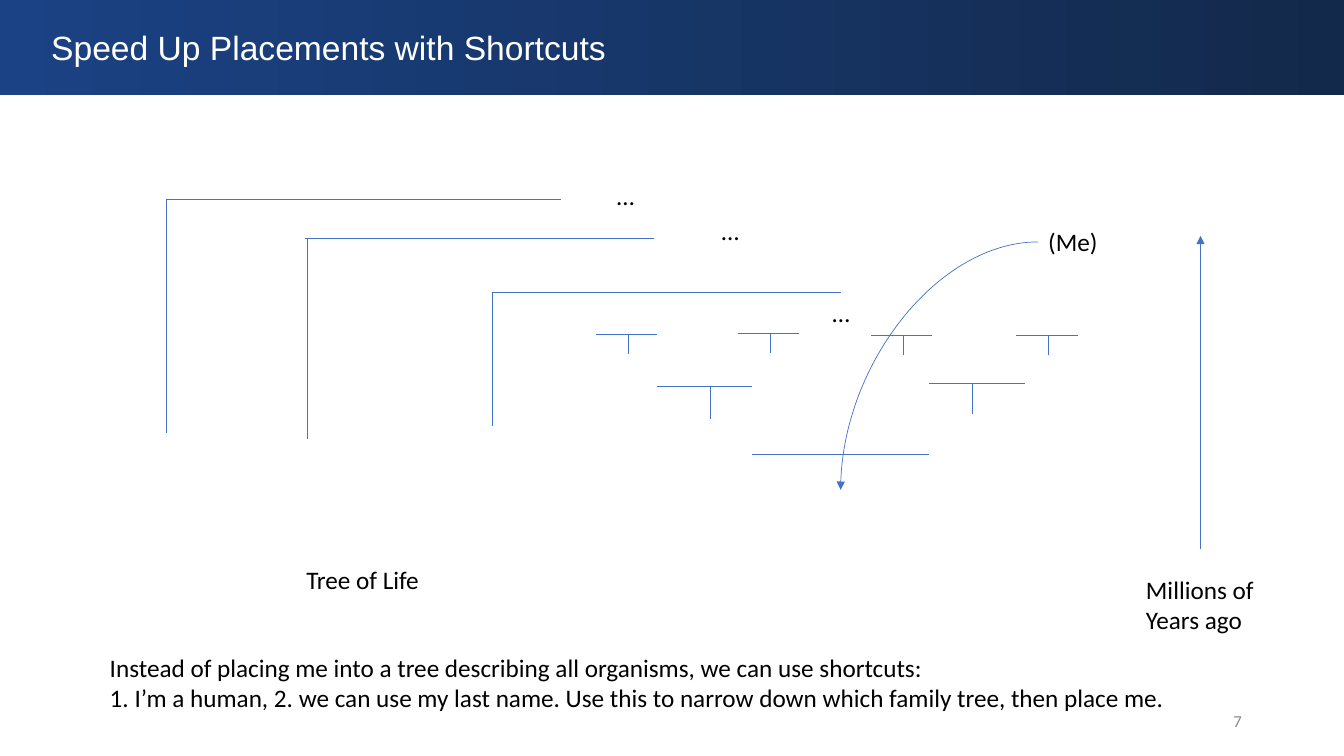
from dataclasses import dataclass

from lxml import etree
from pptx import Presentation
from pptx.dml.color import RGBColor
from pptx.enum.shapes import MSO_CONNECTOR, MSO_SHAPE
from pptx.enum.text import MSO_ANCHOR, MSO_AUTO_SIZE, PP_ALIGN
from pptx.oxml.ns import qn
from pptx.util import Inches, Pt

STRAIGHT, CURVE = MSO_CONNECTOR.STRAIGHT, MSO_CONNECTOR.CURVE
RECTANGLE = MSO_SHAPE.RECTANGLE
TOP, MIDDLE = MSO_ANCHOR.TOP, MSO_ANCHOR.MIDDLE
LEFT, RIGHT = PP_ALIGN.LEFT, PP_ALIGN.RIGHT
NO_GROW, GROW = MSO_AUTO_SIZE.NONE, MSO_AUTO_SIZE.SHAPE_TO_FIT_TEXT
LEFT_SIDE = 1

# The slide is a grid of square cells, a tenth of an inch each
CELL = Inches(0.1)
COLUMNS, ROWS = 133.33, 75
LABEL_HEIGHT = 4


@dataclass(frozen=True)
class Theme:
    banner_start: RGBColor = RGBColor(0x1B, 0x42, 0x84)
    banner_end: RGBColor = RGBColor(0x13, 0x29, 0x4B)
    title: RGBColor = RGBColor(0xFF, 0xFF, 0xFF)
    text: RGBColor = RGBColor(0, 0, 0)
    number: RGBColor = RGBColor(0x8C, 0x8C, 0x8C)
    line: RGBColor = RGBColor(0x44, 0x72, 0xC4)
    title_font: str = "Arial"
    body_font: str = "Calibri"
    title_size: int = 24
    body_size: int = 18
    number_size: int = 12
    line_width: float = 0.5


THEME = Theme()


@dataclass(frozen=True)
class Box:
    """A region of the grid, in columns and rows."""
    left: float
    top: float
    width: float
    height: float

    def inner(self, column, row, width, height):
        return Box(self.left + column, self.top + row, width, height)

    def lengths(self):
        return [cells(n) for n in (self.left, self.top, self.width, self.height)]


def cells(count):
    return round(count * CELL)


def add_text(slide, box, lines, size=THEME.body_size, color=THEME.text,
             font=THEME.body_font, wrap=False, grow=GROW, anchor=TOP, align=LEFT):
    shape = slide.shapes.add_textbox(*box.lengths())
    frame = shape.text_frame
    frame.word_wrap = wrap
    frame.auto_size = grow
    frame.vertical_anchor = anchor
    for index, line in enumerate(lines):
        paragraph = frame.add_paragraph() if index else frame.paragraphs[0]
        paragraph.alignment = align
        run = paragraph.add_run()
        run.text = line
        run.font.name = font
        run.font.size = Pt(size)
        run.font.color.rgb = color
    return shape


def add_line(slide, box, start, end, kind=STRAIGHT, arrow=False):
    """Draw a connector between two points counted from the box's corner."""
    points = [cells(origin + offset) for point in (start, end)
              for origin, offset in zip((box.left, box.top), point)]
    connector = slide.shapes.add_connector(kind, *points)
    connector.line.color.rgb = THEME.line
    connector.line.width = Pt(THEME.line_width)
    if arrow:
        outline = connector.line._get_or_add_ln()
        etree.SubElement(outline, qn("a:tailEnd"), type="triangle")
    etree.SubElement(connector.element.spPr, qn("a:effectLst"))
    return connector


def build_banner(slide, box):
    banner = slide.shapes.add_shape(RECTANGLE, *box.lengths())
    banner.shadow.inherit = False
    banner.line.fill.background()
    banner.fill.gradient()
    banner.fill.gradient_angle = 0
    stops = banner.fill.gradient_stops
    for stop, position, color in zip(stops, (0, 1),
                                     (THEME.banner_start, THEME.banner_end)):
        stop.position = position
        stop.color.rgb = color
    add_text(slide, box.inner(4.1, 2.3, 119.3, 5), ["Speed Up Placements with Shortcuts"],
             THEME.title_size, THEME.title, THEME.title_font, wrap=True)


def build_tree_of_life(slide, box):
    # Each branch: corner column and row, stem length, start and length of its bar
    branches = [(0, 0, 23.2, 0, 39.2), (14, 3.8, 20, -0.2, 34.6), (32.3, 9.2, 13.3, 0, 34.6)]
    for column, row, stem, bar_start, bar in branches:
        add_line(slide, box, (column, row + stem), (column, row))
        add_line(slide, box, (column + bar_start, row), (column + bar_start + bar, row))
    for column, row in [(43.7, -2.4), (54.1, 1.1), (65.1, 9.2)]:
        add_text(slide, box.inner(column, row, 3.8, LABEL_HEIGHT), ["…"])
    add_text(slide, box.inner(12.9, 35.7, 13.3, LABEL_HEIGHT), ["Tree of Life"])


def build_family_tree(slide, box):
    # Each couple: left column, row, bar length, stem column and stem length
    grandparents = [(column, row, 6.1, 3.2, 1.9)
                    for column, row in [(0, 0.1), (14.1, 0), (27.3, 0.2), (41.7, 0.2)]]
    parents = [(6.1, 5.2, 9.4, 5.3, 3.3), (33.1, 4.9, 9.5, 4.3, 3.1)]
    for column, row, bar, stem_column, stem in grandparents + parents:
        add_line(slide, box, (column, row), (column + bar, row))
        middle = column + stem_column
        add_line(slide, box, (middle, row), (middle, row + stem))
    add_line(slide, box, (15.5, 12), (33.1, 12))


def build_shortcut(slide, box):
    me = add_text(slide, box.inner(box.width, -LABEL_HEIGHT / 2, 7, LABEL_HEIGHT), ["(Me)"])
    shortcut = add_line(slide, box, (box.width, 0), (0, box.height), CURVE, arrow=True)
    # A quarter arc: leaves sideways, arrives downwards
    shortcut.element.spPr.find(qn("a:prstGeom")).set("prst", "curvedConnector2")
    shortcut.begin_connect(me, LEFT_SIDE)


def build_time_axis(slide, box):
    middle = box.width / 2
    add_line(slide, box, (middle, 31.1), (middle, 0), arrow=True)
    add_text(slide, box.inner(0, 33.1, box.width, 7.1), ["Millions of", "Years ago"])


def build_explanation(slide, box):
    add_text(slide, box, [
        "Instead of placing me into a tree describing all organisms, we can use shortcuts:",
        "1. I’m a human, 2. we can use my last name. Use this to narrow down "
        "which family tree, then place me.",
    ], wrap=True)


def build_slide_number(slide, box):
    add_text(slide, box, ["7"], THEME.number_size, THEME.number,
             wrap=True, grow=NO_GROW, anchor=MIDDLE, align=RIGHT)


def main():
    presentation = Presentation()
    presentation.slide_width = cells(COLUMNS)
    presentation.slide_height = cells(ROWS)
    slide = presentation.slides.add_slide(presentation.slide_layouts[6])
    build_banner(slide, Box(0, -0.1, COLUMNS, 9.5))
    build_tree_of_life(slide, Box(16.5, 19.8, 68.9, 39.7))
    build_family_tree(slide, Box(59.1, 33.1, 47.8, 12))
    build_shortcut(slide, Box(83.4, 24, 19.6, 24.6))
    build_time_axis(slide, Box(112.7, 23.4, 12.8, 40.2))
    build_explanation(slide, Box(9.9, 64.2, 113.5, 7.1))
    build_slide_number(slide, Box(94.2, 69.5, 30, LABEL_HEIGHT))
    presentation.save("out.pptx")


if __name__ == "__main__":
    main()
